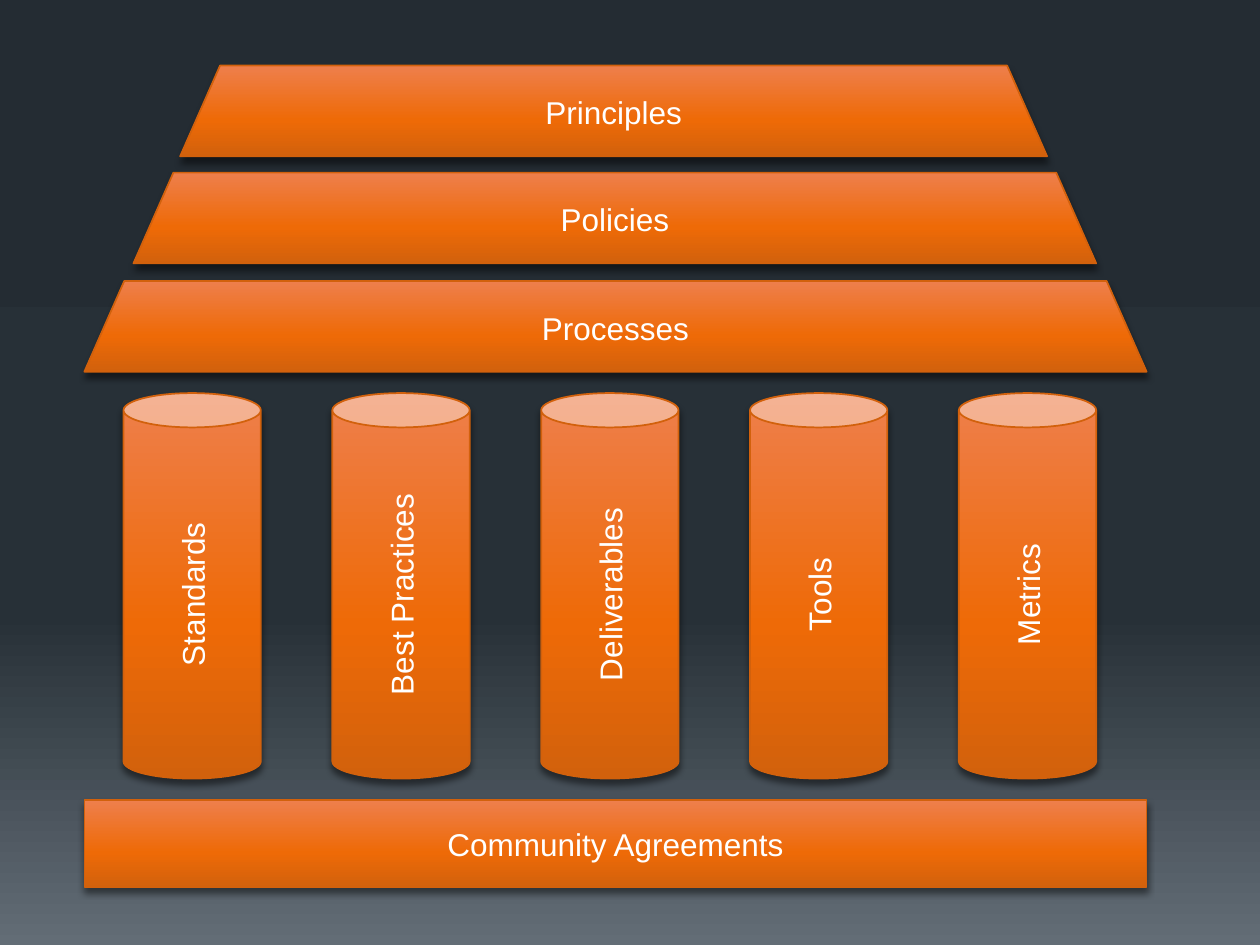
from dataclasses import dataclass

from lxml.etree import SubElement
from pptx import Presentation
from pptx.dml.color import RGBColor
from pptx.dml.fill import FillFormat
from pptx.enum.shapes import MSO_SHAPE
from pptx.enum.text import MSO_ANCHOR, PP_ALIGN
from pptx.oxml.ns import qn
from pptx.oxml.xmlchemy import BaseOxmlElement
from pptx.shapes.autoshape import Shape
from pptx.slide import Slide
from pptx.util import Inches, Pt

WHITE = RGBColor(0xFF, 0xFF, 0xFF)
BLACK = RGBColor(0x00, 0x00, 0x00)
LIGHT_ORANGE = RGBColor(0xEE, 0x7F, 0x4C)
ORANGE = RGBColor(0xEE, 0x6A, 0x07)
DARK_ORANGE = RGBColor(0xD2, 0x61, 0x0C)
NIGHT = RGBColor(0x24, 0x2C, 0x33)
SLATE = RGBColor(0x27, 0x30, 0x37)
MIST = RGBColor(0x63, 0x6D, 0x76)

BLOCK_STOPS = [(0, LIGHT_ORANGE), (60, ORANGE), (100, DARK_ORANGE)]
BACKGROUND_STOPS = [(0, NIGHT), (65, SLATE), (100, MIST)]

PILLARS = ["Standards", "Best Practices", "Deliverables", "Tools", "Metrics"]
FIRST_PILLAR, LAST_PILLAR = 0.98, 7.61
PILLAR_PITCH = (LAST_PILLAR - FIRST_PILLAR) / (len(PILLARS) - 1)


@dataclass
class Block:
    text: str
    kind: MSO_SHAPE
    left: float
    top: float
    width: float
    height: float


def set_gradient(fill: FillFormat, element: BaseOxmlElement,
                 stops: list[tuple[int, RGBColor]]) -> None:
    fill.gradient()
    fill.gradient_angle = 270
    stop_list = next(element.iter(qn("a:gsLst")))
    for old in list(stop_list):
        stop_list.remove(old)
    for position, color in stops:
        stop = SubElement(stop_list, qn("a:gs"), pos=str(position * 1000))
        SubElement(stop, qn("a:srgbClr"), val=str(color))


def add_shadow(sp: Shape) -> None:
    sp.shadow.inherit = False
    effects = sp._element.spPr.find(qn("a:effectLst"))
    shadow = SubElement(effects, qn("a:outerShdw"), blurRad=str(Pt(3.8)),
                        dist=str(Pt(3)), dir="5400000", rotWithShape="0")
    color = SubElement(shadow, qn("a:srgbClr"), val=str(BLACK))
    SubElement(color, qn("a:alpha"), val="48000")


def write_text(sp: Shape, text: str, *, size: float = 18, font: str = "Arial",
               color: RGBColor = WHITE, vertical: bool = False) -> None:
    tf = sp.text_frame
    tf.word_wrap = True
    tf.vertical_anchor = MSO_ANCHOR.MIDDLE
    if vertical:
        tf._txBody.bodyPr.set("vert", "vert270")
    p = tf.paragraphs[0]
    p.alignment = PP_ALIGN.CENTER
    r = p.add_run()
    r.text = text
    r.font.size = Pt(size)
    r.font.name = font
    r.font.color.rgb = color


def add_block(s: Slide, block: Block) -> None:
    sp = s.shapes.add_shape(block.kind, Inches(block.left), Inches(block.top),
                            Inches(block.width), Inches(block.height))
    if block.kind == MSO_SHAPE.TRAPEZOID:
        sp.adjustments[0] = 0.44
    set_gradient(sp.fill, sp._element, BLOCK_STOPS)
    sp.line.color.rgb = DARK_ORANGE
    sp.line.width = Pt(1)
    add_shadow(sp)
    write_text(sp, block.text, vertical=block.kind == MSO_SHAPE.CAN)


prs = Presentation()
prs.slide_width, prs.slide_height = Inches(10), Inches(7.5)
s = prs.slides.add_slide(prs.slide_layouts[6])
set_gradient(s.background.fill, s._element, BACKGROUND_STOPS)

roof = [
    Block("Principles", MSO_SHAPE.TRAPEZOID, 1.43, 0.52, 6.88, 0.72),
    Block("Policies", MSO_SHAPE.TRAPEZOID, 1.06, 1.37, 7.64, 0.72),
    Block("Processes", MSO_SHAPE.TRAPEZOID, 0.67, 2.23, 8.43, 0.72),
]
pillars = [
    Block(name, MSO_SHAPE.CAN, FIRST_PILLAR + i * PILLAR_PITCH, 3.12, 1.09, 3.06)
    for i, name in enumerate(PILLARS)
]
base = Block("Community Agreements", MSO_SHAPE.RECTANGLE, 0.67, 6.35, 8.43, 0.69)

for block in [*roof, *pillars, base]:
    add_block(s, block)

prs.save("out.pptx")
